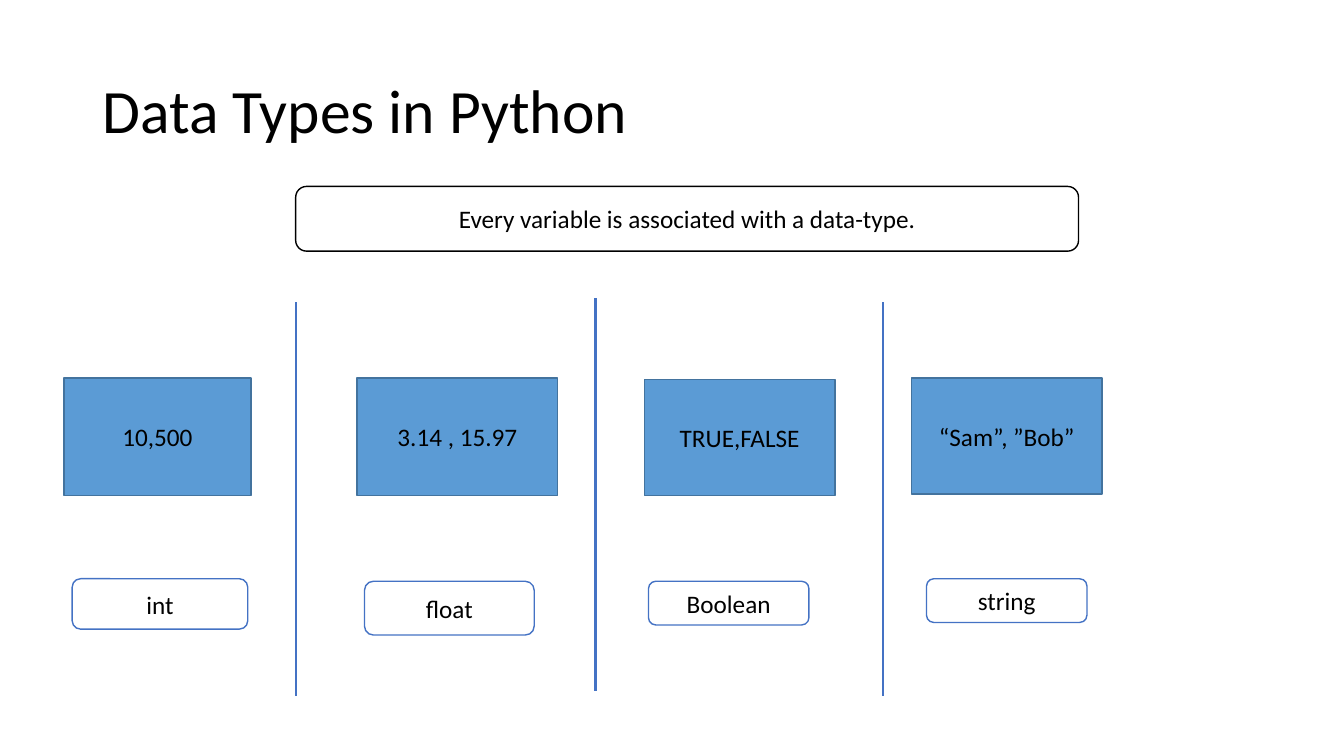
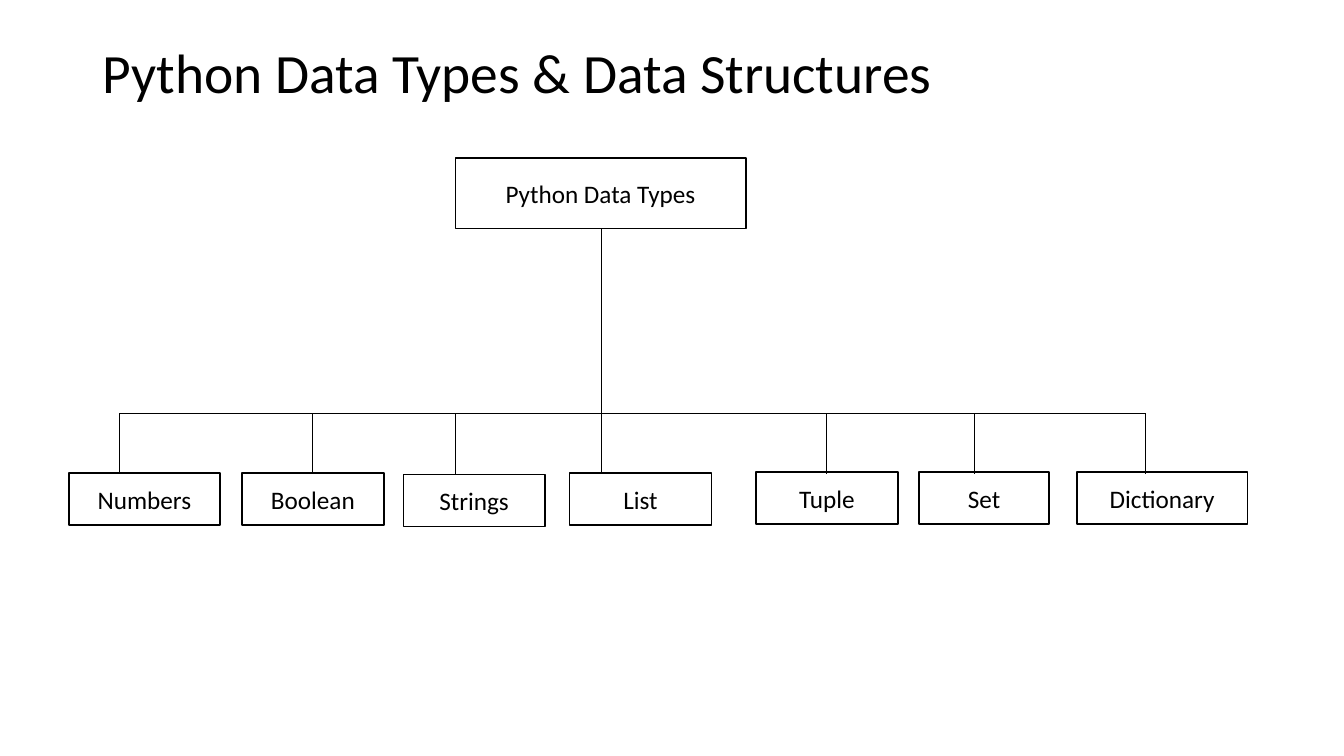
from pptx import Presentation
from pptx.dml.color import RGBColor
from pptx.enum.shapes import MSO_CONNECTOR as Link, MSO_SHAPE as Form
from pptx.enum.text import MSO_ANCHOR as Anchor, MSO_AUTO_SIZE as Fit, PP_ALIGN as Align
from pptx.oxml.ns import qn
from pptx.util import Inches, Pt

# Shared style
COLS, ROWS = 80, 45
CELL = Inches(1) / 6
FONT = "Calibri"
BLACK, WHITE = "000000", "FFFFFF"
BLUE, EDGE, RULE = "5B9BD5", "43739E", "4472C4"


def grid(*cells):
    return [round(n * CELL) for n in cells]


def color(code):
    return RGBColor.from_string(code)


class Deck:
    def __init__(self):
        self.prs = Presentation()
        self.prs.slide_width, self.prs.slide_height = grid(COLS, ROWS)
        self.slide = None

    def label(self, frame, text, size, align):
        frame.text = text
        frame.word_wrap = True
        frame.auto_size = Fit.NONE
        frame.vertical_anchor = Anchor.MIDDLE
        para = frame.paragraphs[0]
        para.alignment = align
        for run in para.runs:
            run.font.name = FONT
            run.font.size = Pt(size)
            run.font.color.rgb = color(BLACK)
        return para

    def page(self, title, width, height, size):
        self.slide = self.prs.slides.add_slide(self.prs.slide_layouts[5])
        head = self.slide.shapes.title
        head.left, head.top, head.width, head.height = grid(5.5, 2.4, width, height)
        self.label(head.text_frame, title, size, Align.LEFT).line_spacing = 0.9

    def box(self, text, area, fill=WHITE, line=BLACK, form=Form.RECTANGLE):
        shape = self.slide.shapes.add_shape(form, *grid(*area))
        shape.shadow.inherit = False
        shape.fill.solid()
        shape.fill.fore_color.rgb = color(fill)
        shape.line.color.rgb = color(line)
        shape.line.width = Pt(1)
        self.label(shape.text_frame, text, 18, Align.CENTER)

    def line(self, start, end, tint=BLACK, width=0.5):
        link = self.slide.shapes.add_connector(Link.STRAIGHT, *grid(*start, *end))
        link.line.color.rgb = color(tint)
        link.line.width = Pt(width)
        props = link.element.find(qn("p:spPr"))
        props.append(props.makeelement(qn("a:effectLst"), {}))


deck = Deck()

# Slide 1: sample values above the name of their type
deck.page("Data Types in Python", 69, 8.7, 44)
deck.box("Every variable is associated with a data-type.",
         (17.6, 11.1, 46.6, 3.85), form=Form.ROUNDED_RECTANGLE)

types = [
    ("10,500", (3.8, 22.5, 11.15, 7), "int", (4.3, 34.45, 10.45, 3)),
    ("3.14 , 15.97", (21.25, 22.5, 11.95, 7), "float", (21.7, 34.6, 10.1, 3.2)),
    ("TRUE,FALSE", (38.35, 22.6, 11.35, 6.9), "Boolean", (38.6, 34.6, 9.55, 2.6)),
    ("“Sam”, ”Bob”", (54.25, 22.5, 11.35, 6.9), "string", (55.15, 34.45, 9.55, 2.6)),
]
for value, area, name, spot in types:
    deck.box(value, area, BLUE, EDGE)
    deck.box(name, spot, line=RULE, form=Form.ROUNDED_RECTANGLE)

for x, top in [(17.6, 18), (35.45, 17.75), (52.55, 18)]:
    deck.line((x, top), (x, top + 23.4), RULE, 1.5)

# Slide 2: tree of the data types
deck.page("Python Data Types & Data Structures", 61.15, 4.2, 39.6)
deck.box("Python Data Types", (27.1, 9.4, 17.3, 4.2))

BAR, STEM = 24.6, 35.8
# Name, left, top, width, and where its branch comes down
kinds = [
    ("Numbers", 4.1, 28.15, 9, 7.1),
    ("Boolean", 14.4, 28.15, 8.45, 18.6),
    ("Strings", 24, 28.25, 8.45, 27.1),
    ("List", 33.9, 28.15, 8.45, STEM),
    ("Tuple", 45, 28.1, 8.45, 49.2),
    ("Set", 54.7, 28.1, 7.75, 58),
    ("Dictionary", 64.1, 28.1, 10.15, 68.15),
]
for name, left, top, width, drop in kinds:
    deck.box(name, (left, top, width, 3.1))
    if drop != STEM:
        deck.line((drop, BAR), (drop, 28.2))

# The stem runs from the root through the bar to the list
deck.line((STEM, 13.6), (STEM, 28.1))
deck.line((kinds[0][-1], BAR), (kinds[-1][-1], BAR))

deck.prs.save("out.pptx")
